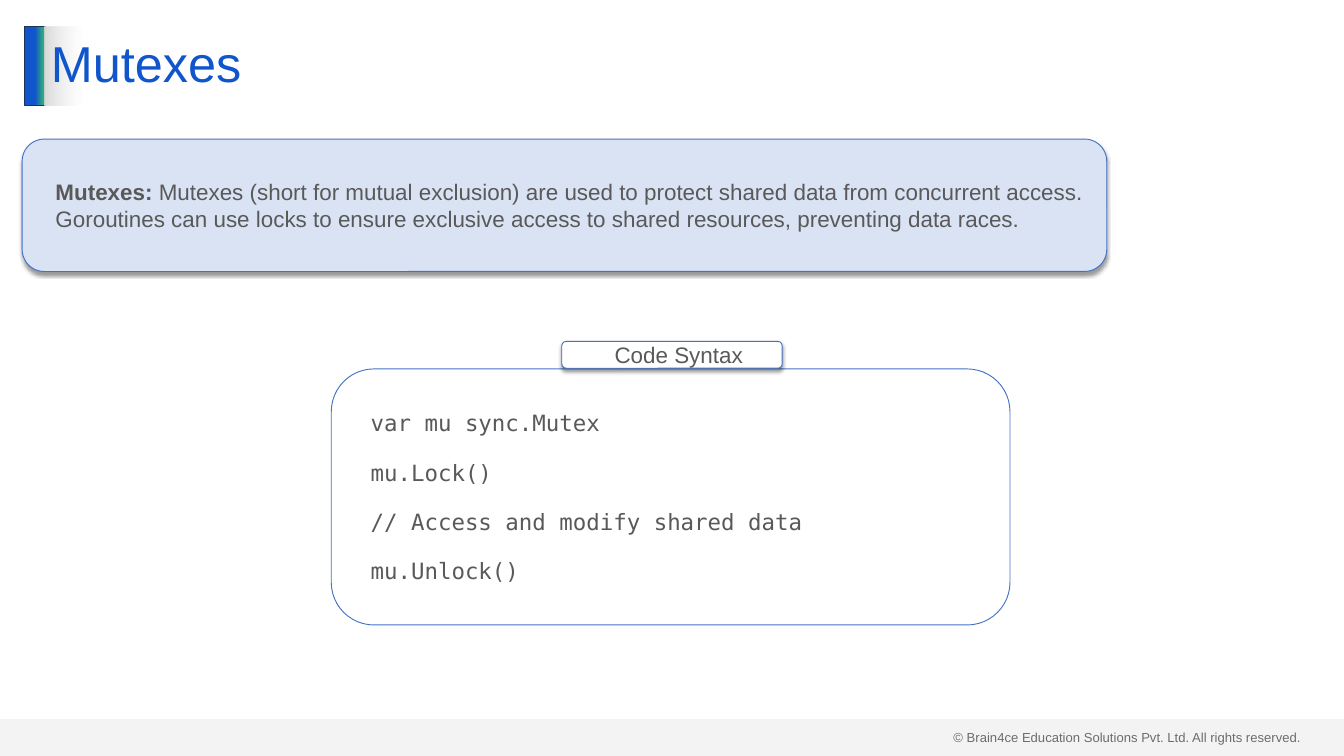
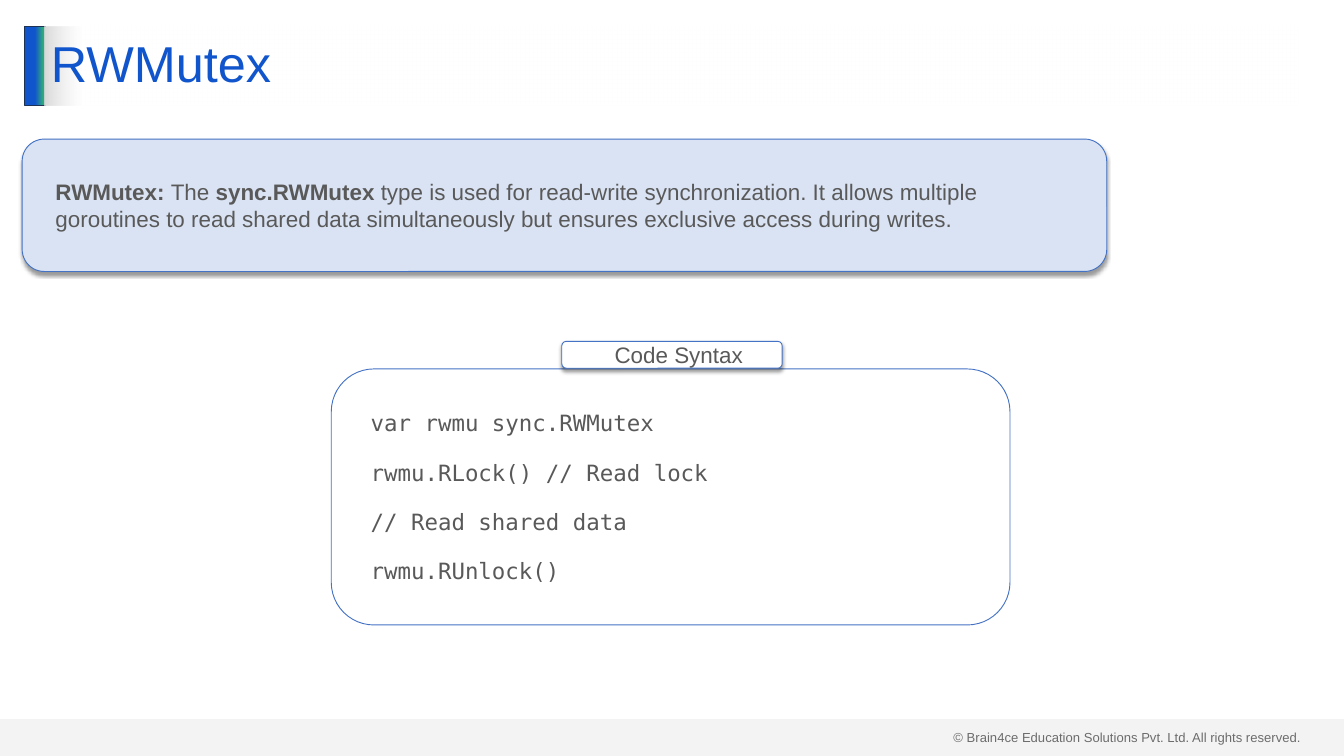
from lxml.etree import SubElement
from pptx import Presentation
from pptx.dml.color import RGBColor
from pptx.enum.shapes import MSO_SHAPE
from pptx.enum.text import MSO_ANCHOR, PP_ALIGN
from pptx.oxml.ns import qn
from pptx.util import Inches, Pt

BLUE, EDGE, GRAY, TEXT = "1155CC", "4472C4", "D9D9D9", "595959"
SANS, MONO = "Arial", "DejaVu Sans Mono"
# Gradient stops: position in percent, colour, opacity in percent
STRIPE_STOPS = [(51, BLUE, 100), (90, "2EA87D", 100), (100, "2EA87D", 100)]
TITLE_STOPS = [(0, GRAY, 100), (3, "FFFFFF", 50)]
COPYRIGHT = "© Brain4ce Education Solutions Pvt. Ltd. All rights reserved."

# Each topic: title, definition as (text, bold) spans, code lines
TOPICS = [
    ("Mutexes",
     [("Mutexes: ", True),
      ("Mutexes (short for mutual exclusion) are used to protect shared data from "
       "concurrent access. Goroutines can use locks to ensure exclusive access to "
       "shared resources, preventing data races.", False)],
     ["var mu sync.Mutex", "mu.Lock()", "// Access and modify shared data",
      "mu.Unlock()"]),
    ("RWMutex",
     [("RWMutex: ", True), ("The ", False), ("sync.RWMutex ", True),
      ("type is used for read-write synchronization. It allows multiple goroutines "
       "to read shared data simultaneously but ensures exclusive access during "
       "writes.", False)],
     ["var rwmu sync.RWMutex", "rwmu.RLock() // Read lock", "// Read shared data",
      "rwmu.RUnlock()"]),
]


def add_box(page, kind, place, fill=None, line=None, shadow=False):
    """Add a shape; fill is a hex colour, a list of gradient stops or None."""
    box = page.shapes.add_shape(kind, *[Inches(value) for value in place])
    if fill is None:
        box.fill.background()
    elif isinstance(fill, str):
        box.fill.solid()
        box.fill.fore_color.rgb = RGBColor.from_string(fill)
    else:
        box.fill.gradient()
        box.fill.gradient_angle = 0
        stops = box._element.spPr.find(".//" + qn("a:gsLst"))
        stops.clear()
        for position, color, opacity in fill:
            stop = SubElement(stops, qn("a:gs"), pos=str(position * 1000))
            tint = SubElement(stop, qn("a:srgbClr"), val=color)
            SubElement(tint, qn("a:alpha"), val=str(opacity * 1000))
    if line:
        box.line.color.rgb = RGBColor.from_string(line)
        box.line.width = Pt(1)
    else:
        box.line.fill.background()
    box.shadow.inherit = False
    if shadow:
        effects = box._element.spPr.find(qn("a:effectLst"))
        outer = SubElement(effects, qn("a:outerShdw"), blurRad=str(Pt(4)),
                           dist=str(Pt(3)), dir="5400000", algn="t", rotWithShape="0")
        tint = SubElement(outer, qn("a:srgbClr"), val="000000")
        SubElement(tint, qn("a:alpha"), val="40000")
    return box


def write(box, text, size, color, font=SANS, align=PP_ALIGN.LEFT, inset=0.1, indent=0):
    """Fill a box with text, one paragraph per line, 24 points apart."""
    frame = box.text_frame
    frame.text = text
    frame.word_wrap = True
    frame.vertical_anchor = MSO_ANCHOR.MIDDLE
    frame.margin_left = frame.margin_right = Inches(inset)
    for number, para in enumerate(frame.paragraphs):
        properties = para._p.get_or_add_pPr()
        properties.set("marL", str(Inches(indent)))
        properties.set("indent", "0")
        para.alignment = align
        para.space_before = Pt(24 if number else 0)
        for span in para.runs:
            span.font.name = font
            span.font.size = Pt(size)
            span.font.color.rgb = RGBColor.from_string(color)
    return frame


deck = Presentation()
deck.slide_width, deck.slide_height = Inches(20), Inches(11.25)

for title, definition, code in TOPICS:
    page = deck.slides.add_slide(deck.slide_layouts[6])

    # Footer: copyright line under a translucent band
    footer = page.shapes.add_textbox(Inches(14.09), Inches(10.8), Inches(5.41), Inches(0.34))
    write(footer, COPYRIGHT, 14, "404040").word_wrap = False
    band = add_box(page, MSO_SHAPE.RECTANGLE, (0, 10.7, 20, 0.55), GRAY)
    tint = band._element.spPr.find(".//" + qn("a:srgbClr"))
    SubElement(tint, qn("a:alpha"), val="29000")

    # Title with its stripe
    add_box(page, MSO_SHAPE.RECTANGLE, (0.37, 0.39, 0.3, 1.18), STRIPE_STOPS, "1E3256")
    heading = add_box(page, MSO_SHAPE.RECTANGLE, (0.66, 0.39, 18.67, 1.18), TITLE_STOPS)
    write(heading, title, 54, BLUE).paragraphs[0].line_spacing = 0.9

    # Code panel and its label
    panel = add_box(page, MSO_SHAPE.ROUNDED_RECTANGLE, (4.93, 5.49, 10.1, 3.81), None, EDGE)
    write(panel, "\n".join(code), 24, TEXT, MONO, inset=0.2, indent=0.2)
    label = add_box(page, MSO_SHAPE.ROUNDED_RECTANGLE, (8.36, 5.08, 3.28, 0.4),
                    "FFFFFF", EDGE, shadow=True)
    write(label, "Code Syntax", 24, TEXT, align=PP_ALIGN.CENTER, inset=0.2, indent=0.2)

    # Definition card: split into plain and bold spans
    card = add_box(page, MSO_SHAPE.ROUNDED_RECTANGLE, (0.33, 2.07, 16.14, 1.97),
                   "DAE3F3", EDGE, shadow=True)
    para = write(card, definition[0][0], 24, TEXT, inset=0.2, indent=0.2).paragraphs[0]
    para.runs[0].font.bold = definition[0][1]
    for text, bold in definition[1:]:
        span = para.add_run()
        span.text = text
        span.font.name = SANS
        span.font.size = Pt(24)
        span.font.bold = bold
        span.font.color.rgb = RGBColor.from_string(TEXT)

deck.save("out.pptx")
